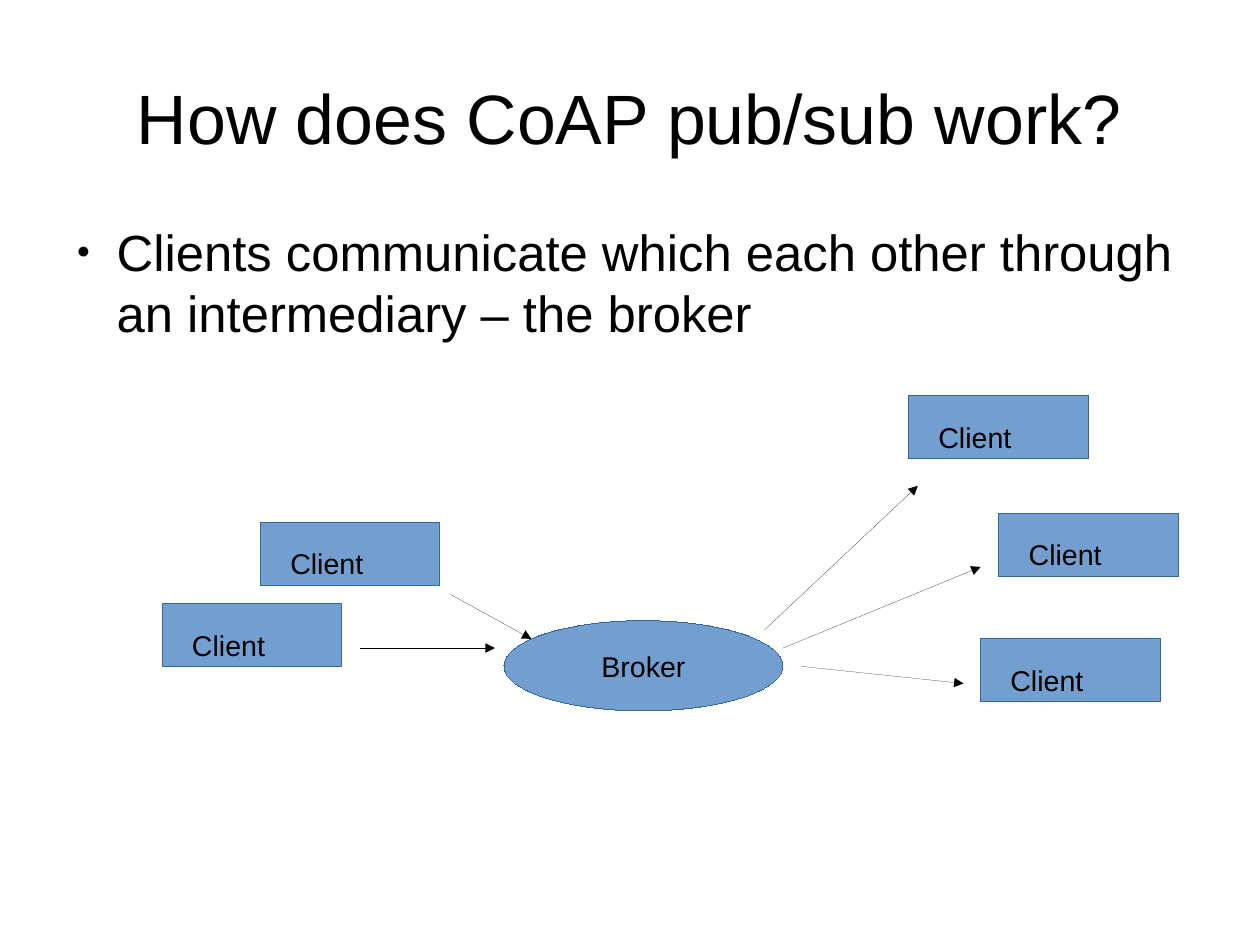
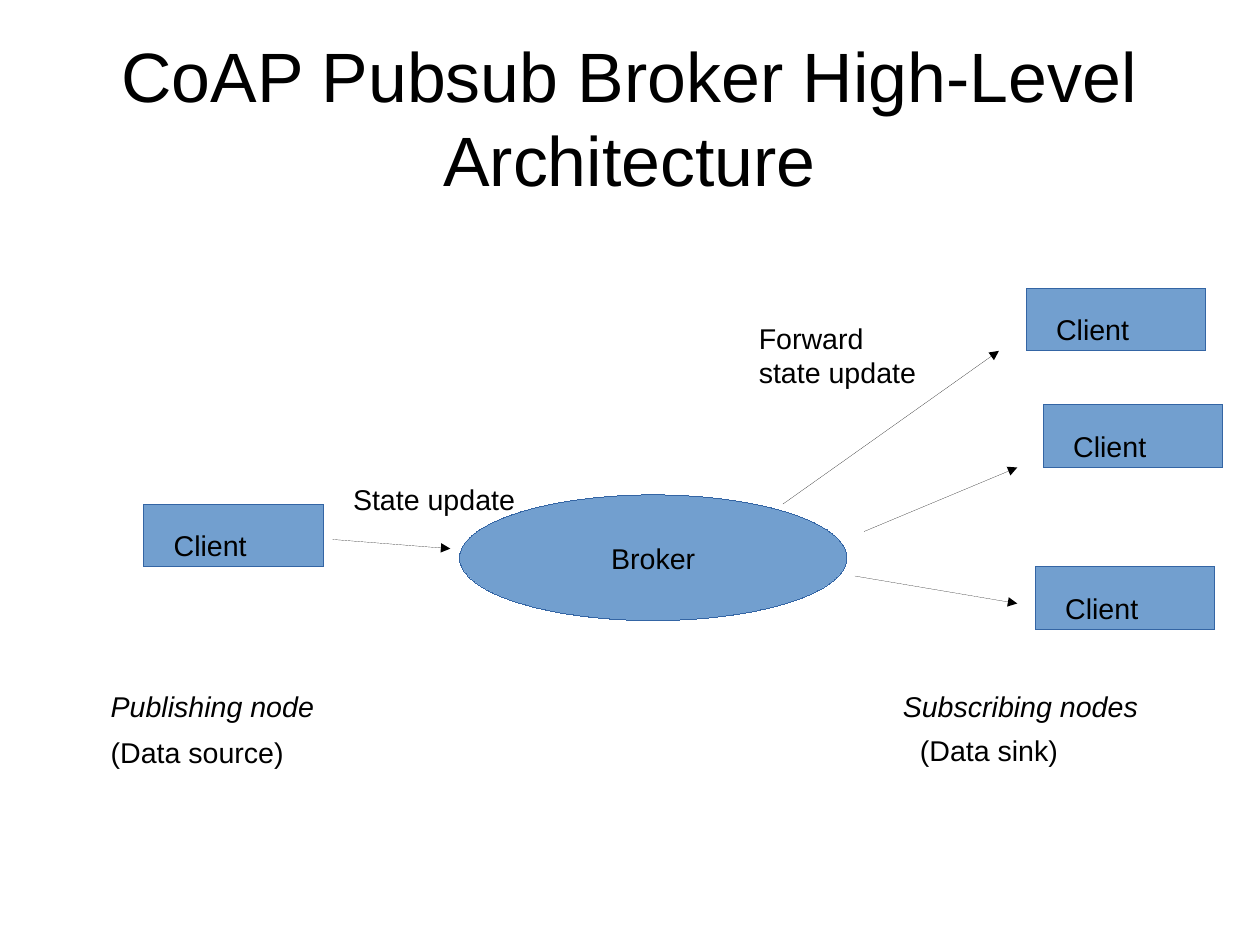
from lxml import etree
from pptx import Presentation
from pptx.dml.color import RGBColor
from pptx.enum.shapes import MSO_CONNECTOR, MSO_SHAPE
from pptx.enum.text import MSO_ANCHOR, MSO_AUTO_SIZE, PP_ALIGN
from pptx.oxml.ns import qn
from pptx.util import Cm, Inches, Pt

FONT = "Arial"
BLACK = "000000"
NODE_FILL = "729FCF"
NODE_LINE = "3465A4"
CLIENT_SIZE = (1.57, 0.55)
TITLE_AND_BODY, TITLE_ONLY = 1, 5


def color(hex_value):
    return RGBColor.from_string(hex_value)


def write(shape, text, size=18, align=PP_ALIGN.LEFT, anchor=MSO_ANCHOR.TOP,
          insets=(0.1, 0.05, 0.1, 0.05), wrap=True, italic=False):
    """Fill the shape with one formatted paragraph and return it."""
    frame = shape.text_frame
    frame.text = text
    frame.word_wrap = wrap
    frame.auto_size = MSO_AUTO_SIZE.NONE
    frame.vertical_anchor = anchor
    (frame.margin_left, frame.margin_top,
     frame.margin_right, frame.margin_bottom) = map(Inches, insets)
    paragraph = frame.paragraphs[0]
    paragraph.alignment = align
    paragraph.space_before = Pt(0)
    font = paragraph.font
    font.name, font.size, font.italic = FONT, Pt(size), italic
    font.color.rgb = color(BLACK)
    return paragraph


def place(shape, left, top, width, height):
    shape.left, shape.top = Inches(left), Inches(top)
    shape.width, shape.height = Inches(width), Inches(height)


def add_titled_slide(presentation, layout, title):
    slide = presentation.slides.add_slide(presentation.slide_layouts[layout])
    place(slide.shapes.title, 0.55, 0.33, 9.92, 1.38)
    write(slide.shapes.title, title, 44, PP_ALIGN.CENTER, MSO_ANCHOR.MIDDLE,
          insets=(0, 0, 0, 0))
    return slide


def set_bullet(paragraph):
    properties = paragraph._p.get_or_add_pPr()
    properties.set("marL", str(Inches(0.47)))
    properties.set("indent", str(Inches(-0.35)))
    # The schema puts bullet elements ahead of the default run properties.
    position = properties.index(properties.find(qn("a:defRPr")))
    for tag, attribute, value in (("a:buSzPct", "val", "45000"),
                                  ("a:buFont", "typeface", FONT),
                                  ("a:buChar", "char", "●")):
        element = etree.Element(qn(tag))
        element.set(attribute, value)
        properties.insert(position, element)
        position += 1


def set_hairline(shape, hex_value):
    """Give the shape a zero-width line and return its XML element."""
    shape.line.color.rgb = color(hex_value)
    line = shape.line._get_or_add_ln()
    # LineFormat.width drops a zero, so the theme width would apply.
    line.set("w", "0")
    return line


def add_node(slide, preset, left, top, width, height):
    node = slide.shapes.add_shape(
        preset, Inches(left), Inches(top), Inches(width), Inches(height))
    node.shadow.inherit = False
    node.fill.solid()
    node.fill.fore_color.rgb = color(NODE_FILL)
    set_hairline(node, NODE_LINE)
    return node


def add_broker(slide, left, top, width, height):
    broker = add_node(slide, MSO_SHAPE.OVAL, left, top, width, height)
    write(broker, "Broker", align=PP_ALIGN.CENTER, anchor=MSO_ANCHOR.MIDDLE,
          wrap=False)


def add_clients(slide, positions):
    for left, top in positions:
        client = add_node(slide, MSO_SHAPE.RECTANGLE, left, top, *CLIENT_SIZE)
        write(client, "Client", insets=(0.26, 0.21, 0, 0))


def add_arrows(slide, routes):
    for start, end in routes:
        arrow = slide.shapes.add_connector(
            MSO_CONNECTOR.STRAIGHT, *map(Inches, start + end))
        head = etree.SubElement(set_hairline(arrow, BLACK), qn("a:tailEnd"))
        head.set("type", "triangle")
        etree.SubElement(arrow._element.spPr, qn("a:effectLst"))


def add_label(slide, text, left, top, width, height=0.38, **style):
    box = slide.shapes.add_textbox(
        Inches(left), Inches(top), Inches(width), Inches(height))
    write(box, text, **style)


def build_overview(presentation):
    slide = add_titled_slide(presentation, TITLE_AND_BODY,
                             "How does CoAP pub/sub work?")
    body = slide.placeholders[1]
    place(body, 0.55, 1.93, 9.92, 1.14)
    set_bullet(write(
        body, "Clients communicate which each other through "
        "an intermediary – the broker", 32, insets=(0, 0, 0, 0)))
    add_broker(slide, 4.41, 5.43, 2.44, 0.79)
    add_clients(slide, [(2.28, 4.57), (1.42, 5.28),
                        (7.95, 3.46), (8.74, 4.49), (8.58, 5.59)])
    add_arrows(slide, [((3.94, 5.2), (4.65, 5.59)),
                       ((3.15, 5.67), (4.33, 5.67)),
                       ((6.69, 5.51), (8.03, 4.25)),
                       ((6.85, 5.67), (8.58, 4.96)),
                       ((7.01, 5.83), (8.43, 5.98))])


def build_architecture(presentation):
    slide = add_titled_slide(presentation, TITLE_ONLY,
                             "CoAP Pubsub Broker High-Level Architecture")
    add_broker(slide, 4.02, 4.33, 3.39, 1.1)
    add_clients(slide, [(1.26, 4.41), (8.98, 2.52),
                        (9.13, 3.54), (9.06, 4.96)])
    add_arrows(slide, [((2.91, 4.72), (3.94, 4.8)),
                       ((6.85, 4.41), (8.74, 3.07)),
                       ((7.56, 4.65), (8.9, 4.09)),
                       ((7.48, 5.04), (8.9, 5.28))])
    add_label(slide, "State update", 2.99, 4.17, 1.62, wrap=False)
    add_label(slide, "Forward state update", 6.54, 2.76, 1.65, 0.94)
    add_label(slide, "Publishing node", 0.87, 5.98, 2.76, italic=True)
    add_label(slide, "Subscribing nodes", 7.8, 5.98, 2.99, italic=True)
    add_label(slide, "(Data source)", 0.87, 6.38, 1.73)
    add_label(slide, "(Data sink)", 7.95, 6.36, 2.2)


def main():
    presentation = Presentation()
    presentation.slide_width = Cm(28)
    presentation.slide_height = Cm(21)
    build_overview(presentation)
    build_architecture(presentation)
    presentation.save("out.pptx")


if __name__ == "__main__":
    main()
